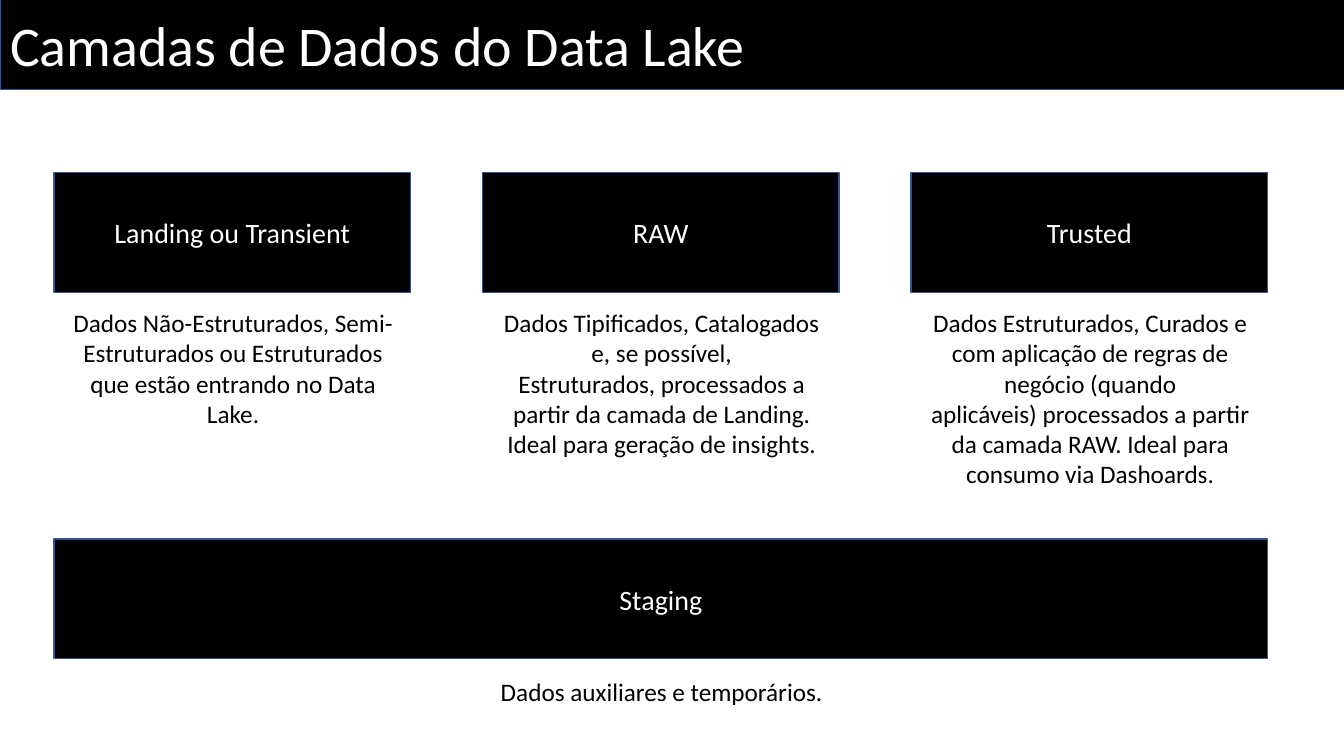
from dataclasses import dataclass

from pptx import Presentation
from pptx.dml.color import RGBColor
from pptx.enum.shapes import MSO_SHAPE
from pptx.enum.text import MSO_ANCHOR, MSO_AUTO_SIZE, PP_ALIGN
from pptx.util import Cm, Pt


@dataclass(frozen=True)
class Theme:
    font: str = "Calibri"
    black: RGBColor = RGBColor(0x00, 0x00, 0x00)
    white: RGBColor = RGBColor(0xFF, 0xFF, 0xFF)
    border: RGBColor = RGBColor(0x32, 0x54, 0x91)
    border_width: Pt = Pt(1)
    title_size: Pt = Pt(40)
    layer_size: Pt = Pt(20)
    caption_size: Pt = Pt(18)


THEME = Theme()
NBSP = chr(160)
SLIDE_W, SLIDE_H = 33.87, 19.05
TITLE_TOP, TITLE_W, TITLE_H = -0.02, 33.9, 2.28
LEFT, PITCH = 1.36, 10.8
LAYER_W, LAYER_H = 8.99, 3.02
LAYER_TOP, CAPTION_TOP = 4.35, 7.62
STAGING_TOP, STAGING_CAPTION_TOP = 13.58, 16.92
CAPTION_EXTRA_W = 0.04
LINE_H, CAPTION_PAD = 0.77, 0.25

LAYERS = [
    ("Landing ou Transient", 4,
     "Dados Não-Estruturados, Semi-Estruturados ou Estruturados "
     "que estão entrando no Data Lake."),
    ("RAW", 5,
     "Dados Tipificados, Catalogados e, se possível, "
     f"Estruturados,{NBSP}processados a partir da camada de Landing. "
     "Ideal para geração de insights."),
    ("Trusted", 6,
     f"Dados Estruturados,{NBSP}Curados e com aplicação de regras de negócio "
     f"(quando aplicáveis){NBSP}processados a partir da camada RAW. "
     "Ideal para consumo via Dashoards."),
]


def write(sp, text, size, color, align=PP_ALIGN.CENTER):
    tf = sp.text_frame
    tf.word_wrap = True
    p = tf.paragraphs[0]
    p.text = text
    p.alignment = align
    p.font.name = THEME.font
    p.font.size = size
    p.font.color.rgb = color
    return tf


def paint_black(sp):
    sp.fill.solid()
    sp.fill.fore_color.rgb = THEME.black
    sp.line.color.rgb = THEME.border
    sp.line.width = THEME.border_width


def add_title(s, text):
    sp = s.shapes.title
    sp.left, sp.top = Cm(0), Cm(TITLE_TOP)
    sp.width, sp.height = Cm(TITLE_W), Cm(TITLE_H)
    paint_black(sp)
    tf = write(sp, text, THEME.title_size, THEME.white, PP_ALIGN.LEFT)
    tf.auto_size = MSO_AUTO_SIZE.NONE
    tf.vertical_anchor = MSO_ANCHOR.MIDDLE


def add_layer(s, text, left, top, width):
    sp = s.shapes.add_shape(
        MSO_SHAPE.RECTANGLE, Cm(left), Cm(top), Cm(width), Cm(LAYER_H))
    sp.shadow.inherit = False
    paint_black(sp)
    tf = write(sp, text, THEME.layer_size, THEME.white)
    tf.vertical_anchor = MSO_ANCHOR.MIDDLE


def add_caption(s, text, left, top, layer_w, lines):
    width = layer_w + CAPTION_EXTRA_W
    height = lines * LINE_H + CAPTION_PAD
    sp = s.shapes.add_textbox(Cm(left), Cm(top), Cm(width), Cm(height))
    tf = write(sp, text, THEME.caption_size, THEME.black)
    tf.auto_size = MSO_AUTO_SIZE.SHAPE_TO_FIT_TEXT


def main():
    prs = Presentation()
    prs.slide_width, prs.slide_height = Cm(SLIDE_W), Cm(SLIDE_H)
    s = prs.slides.add_slide(prs.slide_layouts.get_by_name("Title Only"))

    add_title(s, "Camadas de Dados do Data Lake")
    for i, (name, lines, caption) in enumerate(LAYERS):
        left = LEFT + i * PITCH
        add_layer(s, name, left, LAYER_TOP, LAYER_W)
        add_caption(s, caption, left, CAPTION_TOP, LAYER_W, lines)

    staging_w = (len(LAYERS) - 1) * PITCH + LAYER_W
    add_layer(s, "Staging", LEFT, STAGING_TOP, staging_w)
    add_caption(s, "Dados auxiliares e temporários.",
                LEFT, STAGING_CAPTION_TOP, staging_w, 1)
    prs.save("out.pptx")


if __name__ == "__main__":
    main()
